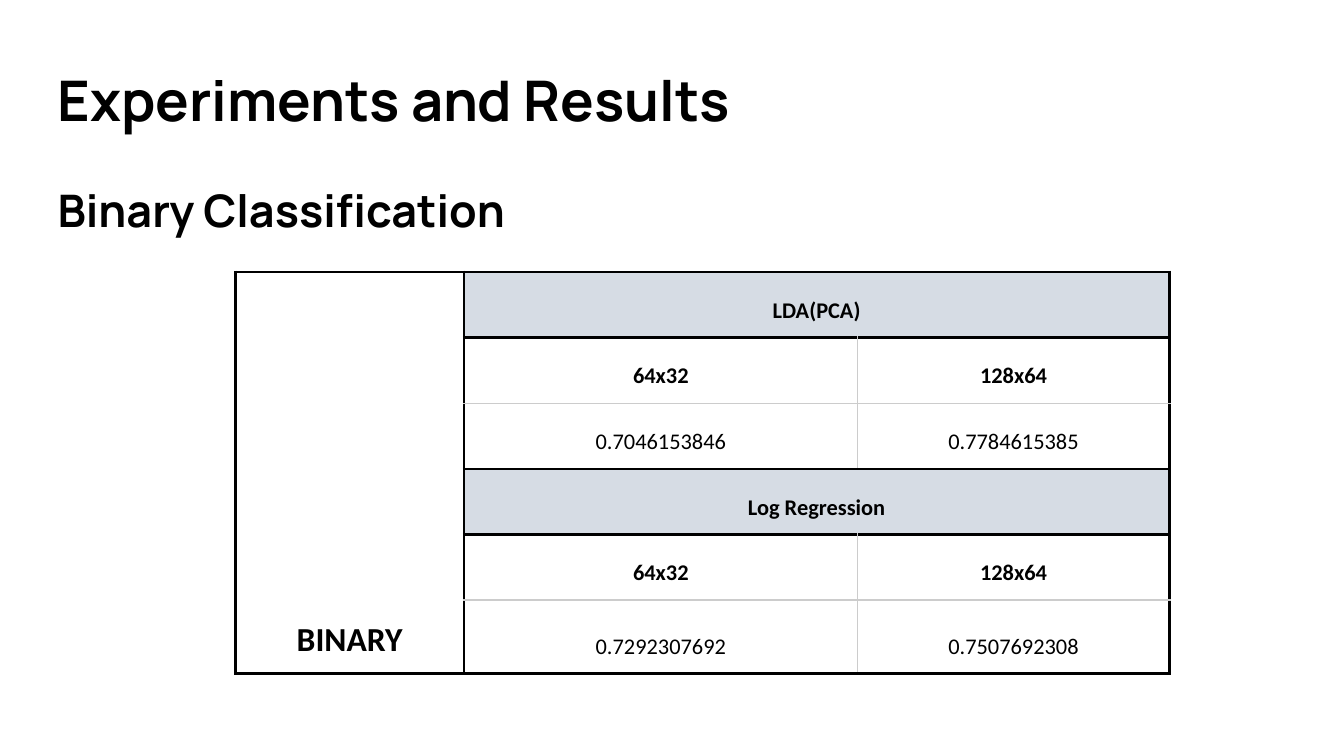
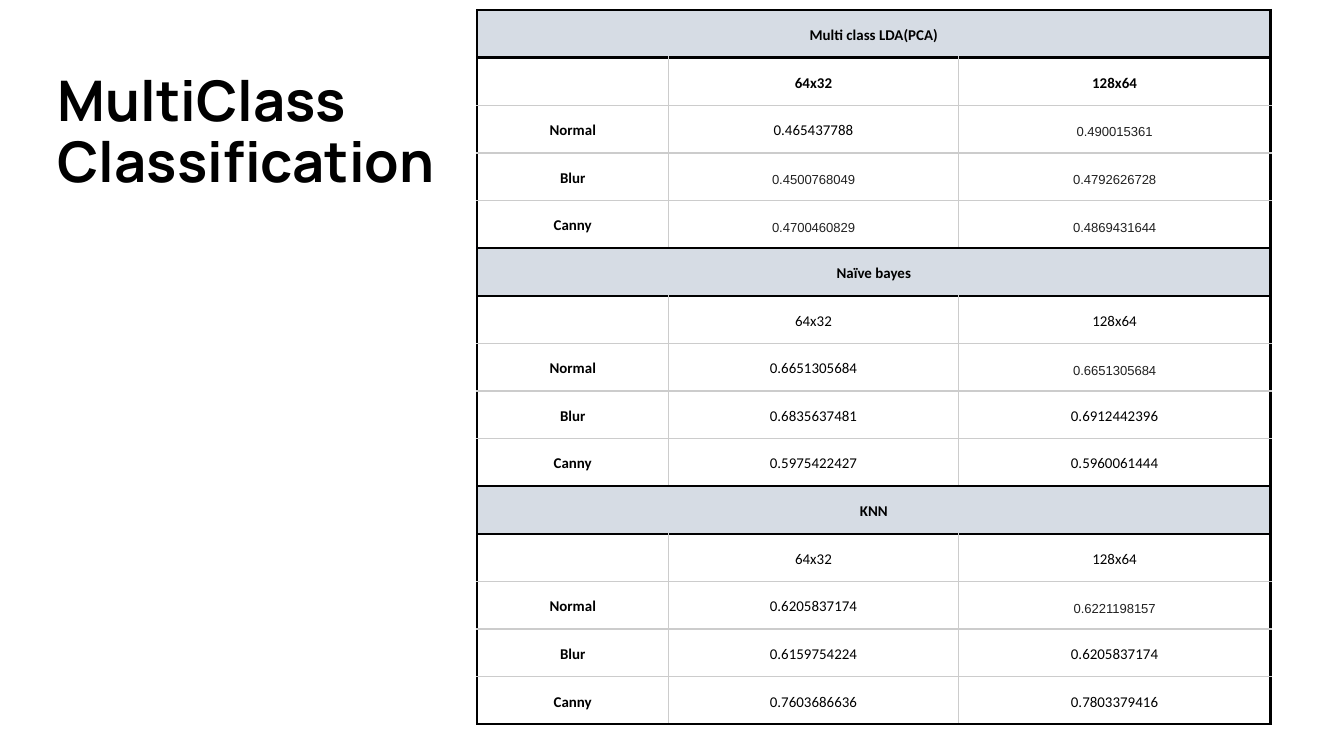
from lxml.etree import SubElement
from pptx import Presentation
from pptx.dml.color import RGBColor
from pptx.enum.text import MSO_ANCHOR, PP_ALIGN
from pptx.oxml.ns import qn
from pptx.util import Cm, Pt

COLORS = {"ink": "000000", "rule": "CCCCCC", "head": "D6DCE4",
          "paper": "FFFFFF", "soft": "212121"}
SIZES = ["64x32", "128x64"]
BINARY = [
    ["BINARY", "LDA(PCA)", ""],
    ["", *SIZES],
    ["", "0.7046153846", "0.7784615385"],
    ["", "Log Regression", ""],
    ["", *SIZES],
    ["", "0.7292307692", "0.7507692308"],
]
MULTI = [
    ["Multi class LDA(PCA)", "", ""],
    ["", *SIZES],
    ["Normal", "0.465437788", "0.490015361"],
    ["Blur", "0.4500768049", "0.4792626728"],
    ["Canny", "0.4700460829", "0.4869431644"],
    ["Naïve bayes", "", ""],
    ["", *SIZES],
    ["Normal", "0.6651305684", "0.6651305684"],
    ["Blur", "0.6835637481", "0.6912442396"],
    ["Canny", "0.5975422427", "0.5960061444"],
    ["KNN", "", ""],
    ["", *SIZES],
    ["Normal", "0.6205837174", "0.6221198157"],
    ["Blur", "0.6159754224", "0.6205837174"],
    ["Canny", "0.7603686636", "0.7803379416"],
]
# Cells of MULTI set in the smaller, softer type
SOFT = {(2, 2), (3, 1), (3, 2), (4, 1), (4, 2), (7, 2), (12, 2)}


def rgb(name):
    return RGBColor.from_string(COLORS[name])


def style(run, size, bold, face="Calibri", color="ink"):
    font = run.font
    font.size, font.bold, font.name = Pt(size), bold, face
    font.color.rgb = rgb(color)


def add_title(slide, lines):
    """Each line is its text, its size and the space before it, in points."""
    box = slide.shapes.add_textbox(Cm(0.84), Cm(1.14), Cm(23.67), Cm(1.78))
    frame = box.text_frame
    frame.word_wrap = True
    frame.margin_left = frame.margin_right = Cm(0.25)
    frame.margin_top = frame.margin_bottom = Cm(0.25)
    frame.text = "\n".join(text for text, size, gap in lines)
    for para, (text, size, gap) in zip(frame.paragraphs, lines):
        para.line_spacing = 0.9
        para.space_before = Pt(gap)
        style(para.runs[0], size, True, "Manrope")


def set_edges(cell, dark):
    """Draw the sides named in dark in heavy ink, the others as thin rules."""
    props = cell._tc.get_or_add_tcPr()
    for side in "LRTB":
        width, color = (1.5, "ink") if side in dark else (0.75, "rule")
        line = SubElement(props, qn(f"a:ln{side}"), w=str(Pt(width)))
        fill = SubElement(line, qn("a:solidFill"))
        SubElement(fill, qn("a:srgbClr"), val=COLORS[color])


def fill_cell(cell, text, size, bold, back, soft=False):
    cell.fill.solid()
    cell.fill.fore_color.rgb = rgb(back)
    cell.margin_left = cell.margin_right = Cm(0.08)
    cell.margin_top = cell.margin_bottom = Cm(0.25)
    cell.vertical_anchor = MSO_ANCHOR.BOTTOM
    para = cell.text_frame.paragraphs[0]
    para.text = text
    para.alignment = PP_ALIGN.CENTER
    para.line_spacing = 1.15
    if not text:
        SubElement(para._p, qn("a:endParaRPr"), sz=str(size * 100))
    elif soft:
        style(para.runs[0], 7, bold, "Arial", "soft")
    else:
        style(para.runs[0], size, bold)


def add_grid(slide, left, top, widths, heights, rows):
    shape = slide.shapes.add_table(len(rows), len(widths), Cm(left), Cm(top),
                                   Cm(sum(widths)), Cm(sum(heights)))
    table = shape.table
    table.first_row = table.horz_banding = False
    for col, width in zip(table.columns, widths):
        col.width = Cm(width)
    for row, height in zip(table.rows, heights):
        row.height = Cm(height)
    return table


def fill_groups(table, rows, step, first, size, is_bold, soft=()):
    """Fill groups of step rows, each under a head that spans from column first."""
    last = len(table.columns) - 1
    for r, row in enumerate(rows):
        place = r % step
        for c in range(first, last + 1):
            cell = table.cell(r, c)
            dark = "L" * (c == first) + "R" * (c == last)
            dark += "T" * (place == 1) + "B" * (place == step - 1)
            set_edges(cell, "LRTB" if place == 0 else dark)
            fill_cell(cell, row[c], size, is_bold(r, c),
                      "paper" if place else "head", (r, c) in soft)
        if place == 0:
            table.cell(r, first).merge(table.cell(r, last))


def add_binary(slide):
    add_title(slide, [("Experiments and Results", 30, 0),
                      ("Binary Classification", 24, 29.5)])
    table = add_grid(slide, 4.45, 5.14, [4.32, 7.44, 5.89],
                     [1.24] * 5 + [1.39], BINARY)
    fill_groups(table, BINARY, 3, 1, 12, lambda r, c: r % 3 < 2)
    for r, row in enumerate(BINARY):
        set_edges(table.cell(r, 0), "LRTB")
        fill_cell(table.cell(r, 0), row[0], 18, True, "paper")
    table.cell(0, 0).merge(table.cell(len(BINARY) - 1, 0))


def add_multi(slide):
    add_title(slide, [("MultiClass", 30, 0), ("Classification", 30, 0)])
    table = add_grid(slide, 9.02, 0.19, [3.61, 5.49, 5.89],
                     [0.9] * len(MULTI), MULTI)
    fill_groups(table, MULTI, 5, 0, 8, lambda r, c: c == 0 or r == 1, SOFT)


def main():
    deck = Presentation()
    deck.slide_width, deck.slide_height = Cm(25.4), Cm(14.29)
    for build in (add_binary, add_multi):
        build(deck.slides.add_slide(deck.slide_layouts[6]))
    deck.save("out.pptx")


if __name__ == "__main__":
    main()
